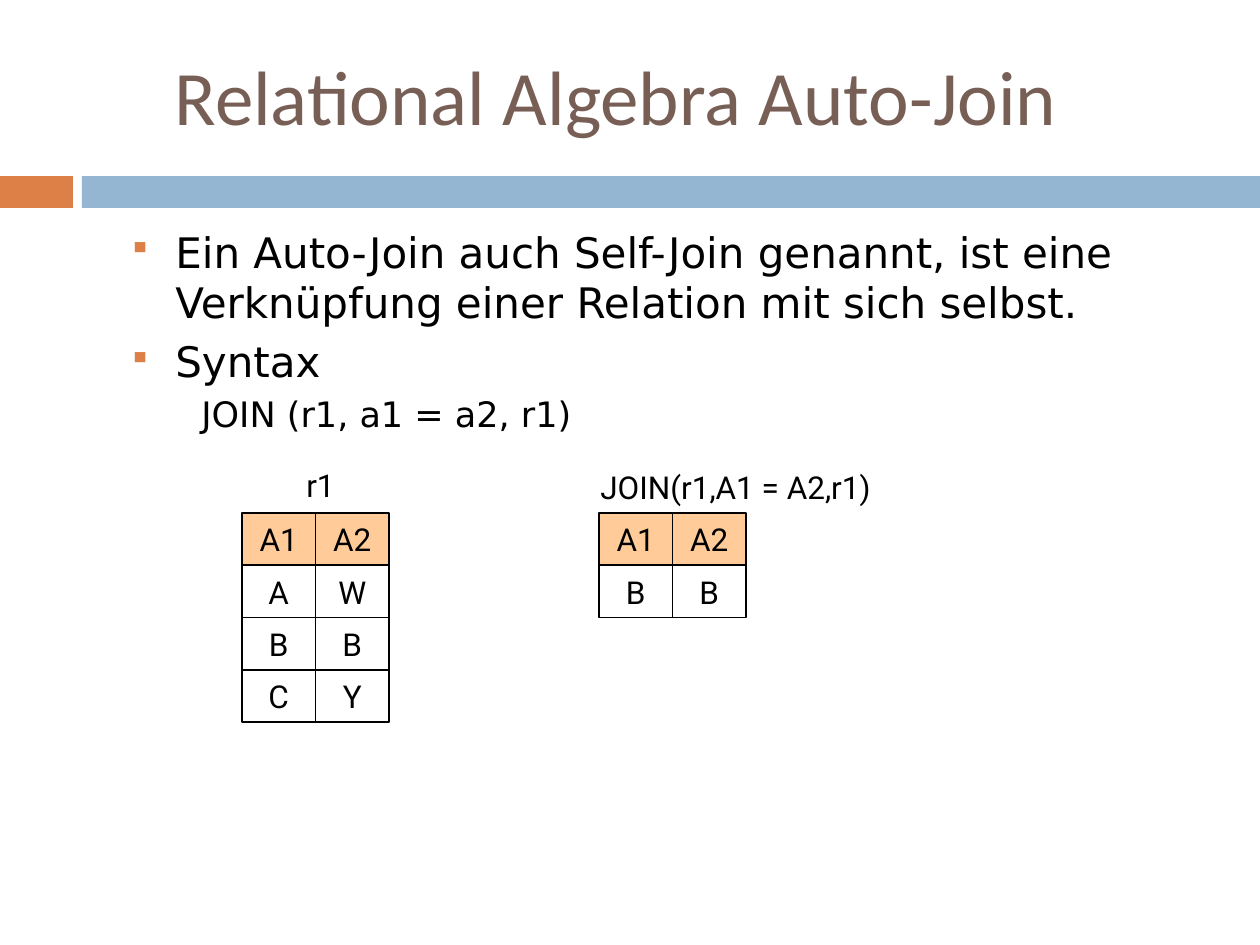
from lxml.etree import SubElement
from pptx import Presentation
from pptx.dml.color import RGBColor
from pptx.enum.shapes import MSO_SHAPE as Shape
from pptx.enum.text import MSO_ANCHOR as Anchor, PP_ALIGN as Align
from pptx.oxml.ns import qn
from pptx.util import Pt

TITLE = "Relational Algebra Auto-Join"
BODY = [
    ("Ein Auto-Join auch Self-Join genannt, ist eine Verknüpfung einer Relation mit sich selbst.", 0),
    ("Syntax", 0),
    ("JOIN (r1, a1 = a2, r1)", 1),
]
LEVELS = [
    {"size": 24, "margin": 47, "indent": -47, "bullet": "▪"},
    {"size": 20, "margin": 113, "indent": -40, "bullet": None},
]
RELATIONS = [
    {"left": 242, "rows": ["A1 A2", "A W", "B B", "C Y"]},
    {"left": 599, "rows": ["A1 A2", "B B"]},
]
CAPTIONS = [
    ("r1", (284, 460, 73, 50), Align.CENTER),
    ("JOIN(r1,A1 = A2,r1)", (588, 462, 357, 50), Align.LEFT),
]
BARS = [("accent", (0, 176, 73, 32)), ("band", (82, 176, 1178, 32))]
COLORS = {"accent": "DD8047", "band": "94B6D2", "title": "775F55",
          "header": "FFCC99", "ink": "000000"}
GRID_TOP, COLUMN, ROW = 513, 147 / 2, 209 / 4


def px(n):
    return round(n * 914400 / 126)


def box(*lengths):
    return [px(n) for n in lengths]


def color(name):
    return RGBColor.from_string(COLORS[name])


def style(paragraph, font, size, ink="ink", align=Align.LEFT):
    paragraph.font.name = font
    paragraph.font.size = Pt(size)
    paragraph.font.color.rgb = color(ink)
    paragraph.alignment = align


def add_bullet(properties, char):
    if char is None:
        SubElement(properties, qn("a:buNone"))
        return
    tint = SubElement(properties, qn("a:buClr"))
    SubElement(tint, qn("a:srgbClr"), val=COLORS["accent"])
    SubElement(properties, qn("a:buSzPct"), val="75000")
    SubElement(properties, qn("a:buChar"), char=char)


def add_rectangle(slide, place, fill=None, outlined=False):
    rectangle = slide.shapes.add_shape(Shape.RECTANGLE, *box(*place))
    rectangle.shadow.inherit = False
    if fill:
        rectangle.fill.solid()
        rectangle.fill.fore_color.rgb = color(fill)
    else:
        rectangle.fill.background()
    if outlined:
        rectangle.line.color.rgb = color("ink")
        rectangle.line.width = Pt(1)
    else:
        rectangle.line.fill.background()
    return rectangle


def add_relation(slide, left, rows):
    for r, row in enumerate(rows):
        for c, value in enumerate(row.split()):
            place = (left + c * COLUMN, GRID_TOP + r * ROW, COLUMN, ROW)
            cell = add_rectangle(slide, place, None if r else "header", True)
            frame = cell.text_frame
            frame.text = value
            frame.vertical_anchor = Anchor.MIDDLE
            style(frame.paragraphs[0], "Roboto", 18, align=Align.CENTER)


def add_body(slide):
    frame = slide.shapes.add_textbox(*box(116, 220, 1071, 210)).text_frame
    frame.word_wrap = True
    for i, (text, depth) in enumerate(BODY):
        paragraph = frame.add_paragraph() if i else frame.paragraphs[0]
        level = LEVELS[depth]
        paragraph.text = text
        paragraph.level = depth
        paragraph.space_before = Pt(level["size"] * 0.2)
        style(paragraph, "DejaVu Sans", level["size"])
        properties = paragraph._p.get_or_add_pPr()
        properties.set("marL", str(px(level["margin"])))
        properties.set("indent", str(px(level["indent"])))
        add_bullet(properties, level["bullet"])


def main():
    deck = Presentation()
    deck.slide_width, deck.slide_height = box(1260, 945)
    slide = deck.slides.add_slide(deck.slide_layouts[5])

    for fill, place in BARS:
        add_rectangle(slide, place, fill)

    title = slide.shapes.title
    title.left, title.top, title.width, title.height = box(56, 32, 1120, 126)
    title.text_frame.text = TITLE
    title.text_frame.vertical_anchor = Anchor.MIDDLE
    style(title.text_frame.paragraphs[0], "Calibri", 44, "title", Align.CENTER)

    add_body(slide)
    for text, place, align in CAPTIONS:
        frame = slide.shapes.add_textbox(*box(*place)).text_frame
        frame.word_wrap = True
        frame.text = text
        style(frame.paragraphs[0], "Roboto", 18, align=align)
    for relation in RELATIONS:
        add_relation(slide, **relation)

    deck.save("out.pptx")


if __name__ == "__main__":
    main()
